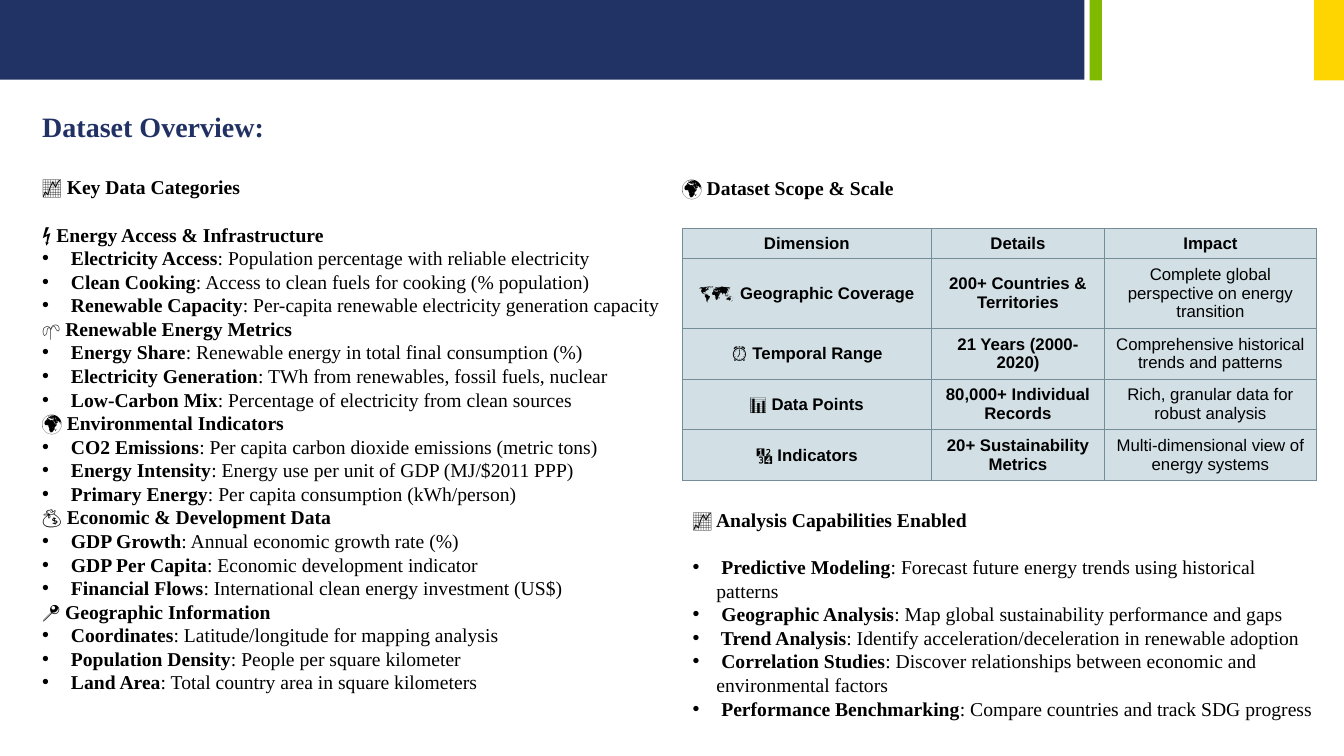
from lxml.etree import SubElement
from pptx import Presentation
from pptx.dml.color import RGBColor
from pptx.enum.shapes import MSO_SHAPE as Shape
from pptx.enum.text import MSO_ANCHOR as Anchor, MSO_AUTO_SIZE as AutoSize, PP_ALIGN as Align
from pptx.oxml.ns import qn
from pptx.util import Cm, Pt

COLOURS = {
    "navy": "213264", "title": "213163", "green": "7FBA00", "yellow": "FED500",
    "text": "000000", "cell": "D2E0E6", "border": "748D99",
}
SERIF, SANS = "Times New Roman", "Arial"
LINE_HEIGHT = Pt(16.85)
HANG = Cm(0.6)

CATEGORIES = [
    ("⚡ Energy Access & Infrastructure", [
        ("Electricity Access", "Population percentage with reliable electricity"),
        ("Clean Cooking", "Access to clean fuels for cooking (% population)"),
        ("Renewable Capacity", "Per-capita renewable electricity generation capacity")]),
    ("🌱 Renewable Energy Metrics", [
        ("Energy Share", "Renewable energy in total final consumption (%)"),
        ("Electricity Generation", "TWh from renewables, fossil fuels, nuclear"),
        ("Low-Carbon Mix", "Percentage of electricity from clean sources")]),
    ("🌍 Environmental Indicators", [
        ("CO2 Emissions", "Per capita carbon dioxide emissions (metric tons)"),
        ("Energy Intensity", "Energy use per unit of GDP (MJ/$2011 PPP)"),
        ("Primary Energy", "Per capita consumption (kWh/person)")]),
    ("💰 Economic & Development Data", [
        ("GDP Growth", "Annual economic growth rate (%)"),
        ("GDP Per Capita", "Economic development indicator"),
        ("Financial Flows", "International clean energy investment (US$)")]),
    ("📍 Geographic Information", [
        ("Coordinates", "Latitude/longitude for mapping analysis"),
        ("Population Density", "People per square kilometer"),
        ("Land Area", "Total country area in square kilometers")]),
]
CAPABILITIES = [
    ("Predictive Modeling", "Forecast future energy trends using historical patterns"),
    ("Geographic Analysis", "Map global sustainability performance and gaps"),
    ("Trend Analysis", "Identify acceleration/deceleration in renewable adoption"),
    ("Correlation Studies", "Discover relationships between economic and environmental factors"),
    ("Performance Benchmarking", "Compare countries and track SDG progress"),
]
SCOPE = [
    ("Dimension", "Details", "Impact"),
    ("🗺️ Geographic Coverage", "200+ Countries & Territories",
     "Complete global perspective on energy transition"),
    ("⏰ Temporal Range", "21 Years (2000-2020)",
     "Comprehensive historical trends and patterns"),
    ("📊 Data Points", "80,000+ Individual Records",
     "Rich, granular data for robust analysis"),
    ("🔢 Indicators", "20+ Sustainability Metrics",
     "Multi-dimensional view of energy systems"),
]
COLUMN_WIDTHS = [6.27, 4.37, 5.33]
ROW_HEIGHTS = [0.76, 1.76, 1.28, 1.28, 1.28]


def colour(name):
    return RGBColor.from_string(COLOURS[name])


def style_font(font, name, size, tint="text"):
    font.name, font.size = name, Pt(size)
    font.color.rgb = colour(tint)


def place(box, left, top, width, height):
    box.left, box.top, box.width, box.height = Cm(left), Cm(top), Cm(width), Cm(height)


def add_band(page, left, width, height, fill):
    band = page.shapes.add_shape(Shape.RECTANGLE, Cm(left), 0, Cm(width), Cm(height))
    band.shadow.inherit = False
    band.fill.solid()
    band.fill.fore_color.rgb = colour(fill)
    band.line.fill.background()


def prepare_frame(box):
    frame = box.text_frame
    frame.word_wrap = True
    frame.auto_size = AutoSize.NONE
    frame.vertical_anchor = Anchor.TOP
    return frame


def add_para(frame, bulleted=False):
    """Return the next paragraph, using the frame's first one while it is empty."""
    first = frame.paragraphs[0]
    para = frame.add_paragraph() if first.runs else first
    props = para._p.get_or_add_pPr()
    props.set("marL", str(HANG if bulleted else 0))
    props.set("indent", str(-HANG if bulleted else 0))
    if bulleted:
        tint = SubElement(props, qn("a:buClr"))
        SubElement(tint, qn("a:srgbClr"), val=COLOURS["text"])
        SubElement(props, qn("a:buFont"), typeface=SANS)
        SubElement(props, qn("a:buChar"), char="•")
    else:
        SubElement(props, qn("a:buNone"))
    para.alignment = Align.LEFT
    para.line_spacing = LINE_HEIGHT
    para.space_before = para.space_after = Pt(0)
    style_font(para.font, SERIF, 14)
    return para


def add_span(para, text, bold):
    span = para.add_run()
    span.text = text
    span.font.bold = bold


def add_heading(frame, text, gap=Pt(0)):
    para = add_para(frame)
    para.space_after = gap
    add_span(para, text, True)


def add_bullets(frame, items):
    for term, meaning in items:
        para = add_para(frame, bulleted=True)
        add_span(para, f" {term}", True)
        add_span(para, f": {meaning}", False)


def fill_cell(cell, text, bold):
    props = cell._tc.get_or_add_tcPr()
    for side in ("lnL", "lnR", "lnT", "lnB"):
        edge = SubElement(props, qn(f"a:{side}"), w=str(Pt(0.75)))
        paint = SubElement(edge, qn("a:solidFill"))
        SubElement(paint, qn("a:srgbClr"), val=COLOURS["border"])
    cell.fill.solid()
    cell.fill.fore_color.rgb = colour("cell")
    cell.vertical_anchor = Anchor.MIDDLE
    para = cell.text_frame.paragraphs[0]
    para.alignment = Align.CENTER
    style_font(para.font, SANS, 12)
    add_span(para, text, bold)


def add_scope_table(page):
    table = page.shapes.add_table(
        len(SCOPE), len(COLUMN_WIDTHS), Cm(17.2), Cm(5.75),
        Cm(sum(COLUMN_WIDTHS)), Cm(sum(ROW_HEIGHTS))).table
    for column, width in zip(table.columns, COLUMN_WIDTHS):
        column.width = Cm(width)
    for row, height, texts in zip(table.rows, ROW_HEIGHTS, SCOPE):
        row.height = Cm(height)
        for cell, text in zip(row.cells, texts):
            # Impact statements are the only regular-weight cells
            fill_cell(cell, text, texts is SCOPE[0] or text != texts[-1])


def main():
    deck = Presentation()
    deck.slide_width, deck.slide_height = Cm(33.87), Cm(19.05)
    page = deck.slides.add_slide(deck.slide_layouts.get_by_name("Two Content"))
    title, categories, capabilities = page.placeholders

    # Header bands
    add_band(page, 0, 27.33, 2.01, "navy")
    add_band(page, 27.46, 0.31, 2.03, "green")
    add_band(page, 33.12, 0.75, 2.03, "yellow")

    # Title
    place(title, 0.81, 2.62, 16.41, 1.12)
    para = add_para(prepare_frame(title))
    para.line_spacing = Pt(24)
    style_font(para.font, SERIF, 20, "title")
    add_span(para, "Dataset Overview:", True)

    # Data categories
    place(categories, 0.81, 4.29, 16.94, 13.41)
    frame = prepare_frame(categories)
    add_heading(frame, "📈 Key Data Categories", LINE_HEIGHT)
    for heading, items in CATEGORIES:
        add_heading(frame, heading)
        add_bullets(frame, items)

    # Scope and scale
    scope = page.shapes.add_textbox(Cm(16.94), Cm(4.3), Cm(6.43), Cm(1))
    add_heading(prepare_frame(scope), "🌍 Dataset Scope & Scale")
    add_scope_table(page)

    # Analysis capabilities
    place(capabilities, 17.2, 12.67, 16.25, 5.05)
    frame = prepare_frame(capabilities)
    add_heading(frame, "📈 Analysis Capabilities Enabled", LINE_HEIGHT)
    add_bullets(frame, CAPABILITIES)

    deck.save("out.pptx")


if __name__ == "__main__":
    main()
